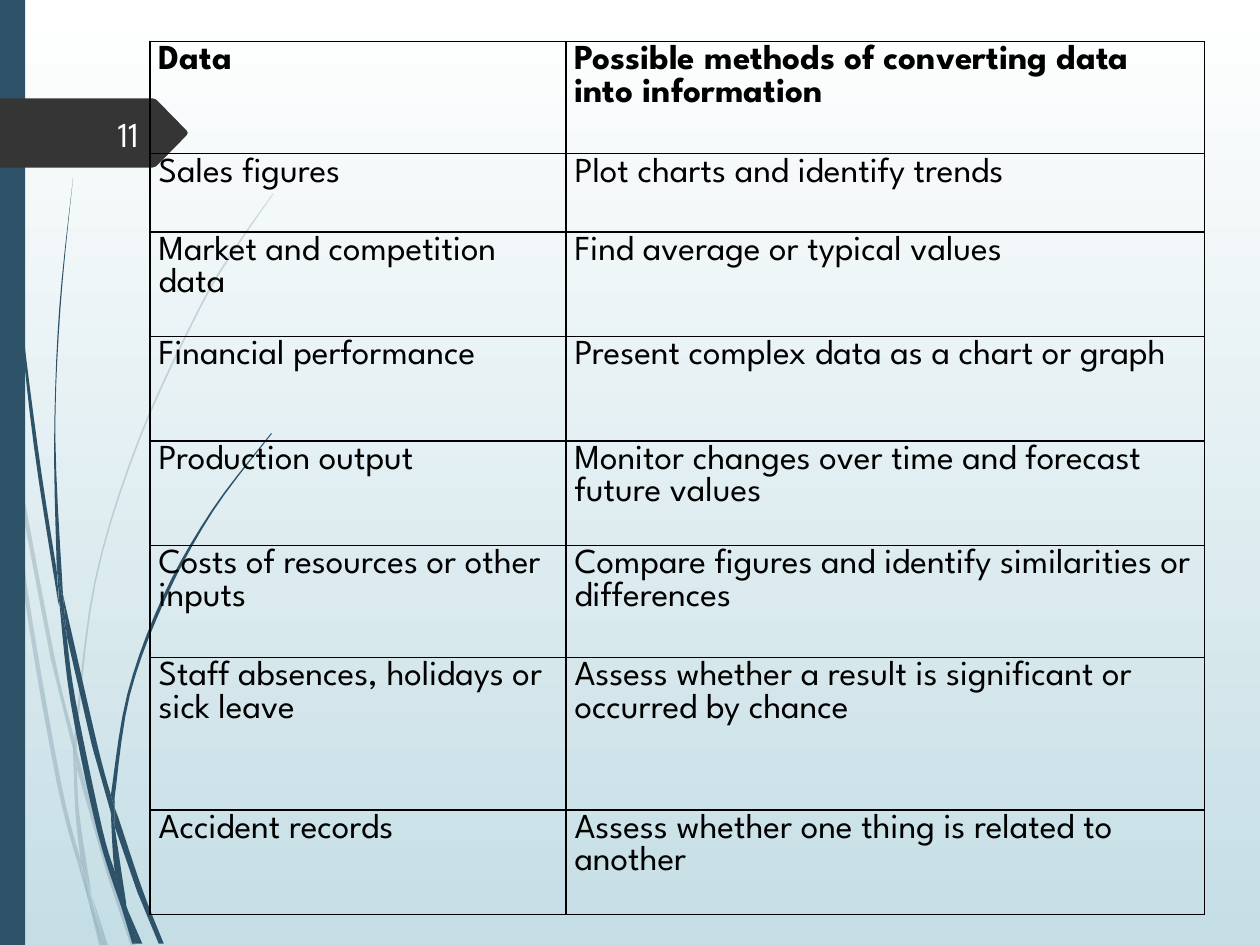
from lxml.etree import SubElement
from pptx import Presentation
from pptx.dml.color import RGBColor
from pptx.enum.shapes import MSO_SHAPE
from pptx.enum.text import MSO_ANCHOR, PP_ALIGN
from pptx.oxml.ns import qn
from pptx.util import Inches, Pt

COLORS = {"sky": "FFFFFF", "mist": "C5DEE5", "reed": "2E5369",
          "tag": "353535", "number": "FEFFFF", "ink": "000000"}
FONT = "League Spartan"

PALE_REEDS = [
    [[(.08, 3.5), (.06, 3.22), (0, 2.82)], [(0, 2.99), (.07, 3.44)]],
    [[(.4, 5.22), (.59, 5.99)], [(.59, 5.86), (.43, 5.2), (.1, 3.45)],
     [(.12, 3.76), (.4, 5.22)]],
    [[(.61, 5.96), (.61, 6.1)], [(.85, 6.94), (1.04, 7.51)],
     [(1.08, 7.51), (.88, 6.92), (.64, 6.07)]],
    [[(.83, 7.51), (.86, 7.51)], [(.73, 7.11)]],
    [[(.64, 6.83), (.48, 6.19), (.22, 4.69), (.12, 3.76)],
     [(.08, 3.5), (.19, 4.7), (.45, 6.21), (.64, 6.93)],
     [(.7, 7.14), (.69, 7.07)]],
    [[(.58, 5.99), (.6, 6.46), (.64, 6.83)], [(.67, 6.92), (.73, 7.11)],
     [(.72, 7.06), (.63, 6.46), (.61, 6.1)]],
    [[(.61, 5.84), (.76, 4.62), (1.11, 3.49), (1.59, 2.45), (1.87, 1.98),
      (2.17, 1.54)], [(2.17, 1.53), (1.86, 1.97), (1.58, 2.44), (1.1, 3.48),
     (.75, 4.61), (.59, 5.84)], [(.61, 5.96)]],
    [[(.7, 7.14), (.79, 7.51)], [(.82, 7.51)]],
    [[(.61, 6.08), (.61, 6.1)], [(.61, 5.96), (.59, 5.86)], [(.58, 5.99)]],
    [[(.65, 6.83), (.7, 7.14), (.82, 7.51)], [(.83, 7.51), (.67, 6.92)]],
]
DEEP_REEDS = [
    [[(.05, 1.1), (.14, 2.33), (.27, 3.55), (.46, 4.77)],
     [(.47, 4.81), (.45, 4.53)],
     [(.45, 4.53), (.3, 3.55), (.15, 2.32), (.06, 1.09), (.03, 0)],
     [(.02, 0), (.05, 1.1)]],
    [[(.73, 5.92), (.88, 6.45)], [(.88, 6.31), (.77, 5.9), (.5, 4.72)],
     [(.53, 5.05), (.73, 5.92)]],
    [[(.91, 6.41), (.91, 6.56)], [(1.09, 7.08), (1.26, 7.49)],
     [(1.3, 7.49), (1.13, 7.06), (.94, 6.49)]],
    [[(.91, 6.91), (.81, 6.57), (.6, 5.56), (.53, 5.05)],
     [(.47, 4.77), (.56, 5.57), (.77, 6.59), (.97, 7.22)], [(.96, 7.17)]],
    [[(.5, 4.72), (.44, 3.49), (.48, 2.45), (.58, 1.41)],
     [(.58, 1.41), (.47, 2.45), (.43, 3.49), (.45, 4.49)], [(.49, 4.72)]],
    [[(1.1, 7.49), (1.13, 7.49)], [(1, 7.19)]],
    [[(.47, 4.77), (.53, 5.05)], [(.5, 4.72), (.49, 4.72)], [(.45, 4.49)]],
    [[(.91, 6.33), (1.03, 5.52), (1.31, 4.76), (1.69, 4.06), (2.16, 3.44)],
     [(2.15, 3.44), (1.68, 4.05), (1.29, 4.74), (1.01, 5.51), (.88, 6.31)],
     [(.91, 6.41)]],
    [[(.97, 7.22), (1.05, 7.49)], [(1.08, 7.49)]],
    [[(.88, 6.45), (.91, 6.91), (1, 7.19)], [(1, 7.16), (.91, 6.56)]],
    [[(.88, 6.45), (.91, 6.56)], [(.91, 6.41), (.88, 6.31)]],
    [[(.91, 6.91), (.97, 7.22), (1.08, 7.49)], [(1.1, 7.49), (.96, 7.06)]],
]
METHODS = [
    ("Data", "Possible methods of converting data into information"),
    ("Sales figures", "Plot charts and identify trends"),
    ("Market and competition data", "Find average or typical values"),
    ("Financial performance", "Present complex data as a chart or graph"),
    ("Production output", "Monitor changes over time and forecast future values"),
    ("Costs of resources or other inputs",
     "Compare figures and identify similarities or differences"),
    ("Staff absences, holidays or sick leave",
     "Assess whether a result is significant or occurred by chance"),
    ("Accident records", "Assess whether one thing is related to another"),
]


def rgb(name):
    return RGBColor.from_string(COLORS[name])


def paint(shape, color, opacity=100):
    shape.shadow.inherit = False
    shape.fill.solid()
    shape.fill.fore_color.rgb = rgb(color)
    shape.line.fill.background()
    if opacity < 100:
        tint = shape.fill._xPr.find(qn("a:solidFill"))[0]
        SubElement(tint, qn("a:alpha"), val=str(opacity * 1000))


def smooth(edge, steps=5):
    points = [edge[0], *edge, edge[-1]]
    curve = [edge[0]]
    for a, b, c, d in zip(points, points[1:], points[2:], points[3:]):
        for t in (step / steps for step in range(1, steps + 1)):
            curve.append(tuple(
                (2 * q + (r - p) * t + (2 * p - 5 * q + 4 * r - s) * t ** 2
                 + (3 * q - p - 3 * r + s) * t ** 3) / 2
                for p, q, r, s in zip(a, b, c, d)))
    return curve


def add_outline(shapes, left, top, points):
    corners = [(Inches(left + x), Inches(top + y)) for x, y in points]
    builder = shapes.build_freeform(*corners[0])
    builder.add_line_segments(corners[1:], close=True)
    return builder.convert_to_shape()


def add_reeds(slide, left, top, reeds, opacity):
    clump = slide.shapes.add_group_shape()
    for edges in reeds:
        outline = [point for edge in edges for point in smooth(edge)]
        paint(add_outline(clump.shapes, left, top, outline), "reed", opacity)


def add_side_bar(slide, left, top, width, height):
    bar = slide.shapes.add_shape(MSO_SHAPE.RECTANGLE, Inches(left), Inches(top),
                                 Inches(width), Inches(height))
    paint(bar, "reed")


def format_text(frame, text, color, bold=False, align=PP_ALIGN.LEFT):
    paragraph = frame.paragraphs[0]
    paragraph.alignment = align
    run = paragraph.add_run()
    run.text = text
    for name, value in {"name": FONT, "size": Pt(20), "bold": bold}.items():
        setattr(run.font, name, value)
    run.font.color.rgb = rgb(color)


def add_number_tag(slide, left, top, width, height, number):
    tip = width - .25
    paint(add_outline(slide.shapes, left, top, [
        (0, 0), (tip - .03, 0), (tip, .01), (width - .01, height / 2 - .02),
        (width, height / 2), (width - .01, height / 2 + .02),
        (tip, height - .01), (tip - .03, height), (0, height)]), "tag")
    label = slide.shapes.add_textbox(Inches(left + .56), Inches(top + .08),
                                     Inches(.64), Inches(.4))
    frame = label.text_frame
    frame.word_wrap = True
    frame.vertical_anchor = MSO_ANCHOR.MIDDLE
    format_text(frame, number, "number", align=PP_ALIGN.RIGHT)


def add_borders(cell):
    properties = cell._tc.get_or_add_tcPr()
    for position, side in enumerate(("lnL", "lnR", "lnT", "lnB")):
        border = properties.makeelement(qn("a:" + side), {"w": str(Pt(1))})
        properties.insert(position, border)
        stroke = SubElement(border, qn("a:solidFill"))
        SubElement(stroke, qn("a:srgbClr"), val=COLORS["ink"])


def add_methods_table(slide, left, top, widths, heights):
    table = slide.shapes.add_table(
        len(heights), len(widths), Inches(left), Inches(top),
        Inches(sum(widths)), Inches(sum(heights))).table
    table.horz_banding = False
    for column, width in zip(table.columns, widths):
        column.width = Inches(width)
    margins = {"margin_left": .07, "margin_right": .07,
               "margin_top": .03, "margin_bottom": .03}
    for index, (texts, height) in enumerate(zip(METHODS, heights)):
        table.rows[index].height = Inches(height)
        for cell, text in zip(table.rows[index].cells, texts):
            for name, value in margins.items():
                setattr(cell, name, Inches(value))
            cell.fill.background()
            add_borders(cell)
            format_text(cell.text_frame, text, "ink", bold=index == 0)


def add_background(slide):
    fill = slide.background.fill
    fill.gradient()
    fill.gradient_angle = 270
    for stop, color in zip(fill.gradient_stops, ("sky", "mist")):
        stop.color.rgb = rgb(color)


def build():
    deck = Presentation()
    deck.slide_width, deck.slide_height = Inches(10), Inches(7.5)
    slide = deck.slides.add_slide(deck.slide_layouts[6])
    add_background(slide)
    add_reeds(slide, 0, 0, PALE_REEDS, 20)
    add_reeds(slide, 0, 0, DEEP_REEDS, 100)
    add_side_bar(slide, 0, 0, .2, 7.5)
    add_number_tag(slide, 0, .78, 1.49, .55, "11")
    add_methods_table(slide, 1.19, .33, (3.3, 5.07),
                      (.89, .62, .83, .83, .83, .89, 1.21, .83))
    deck.save("out.pptx")


build()
